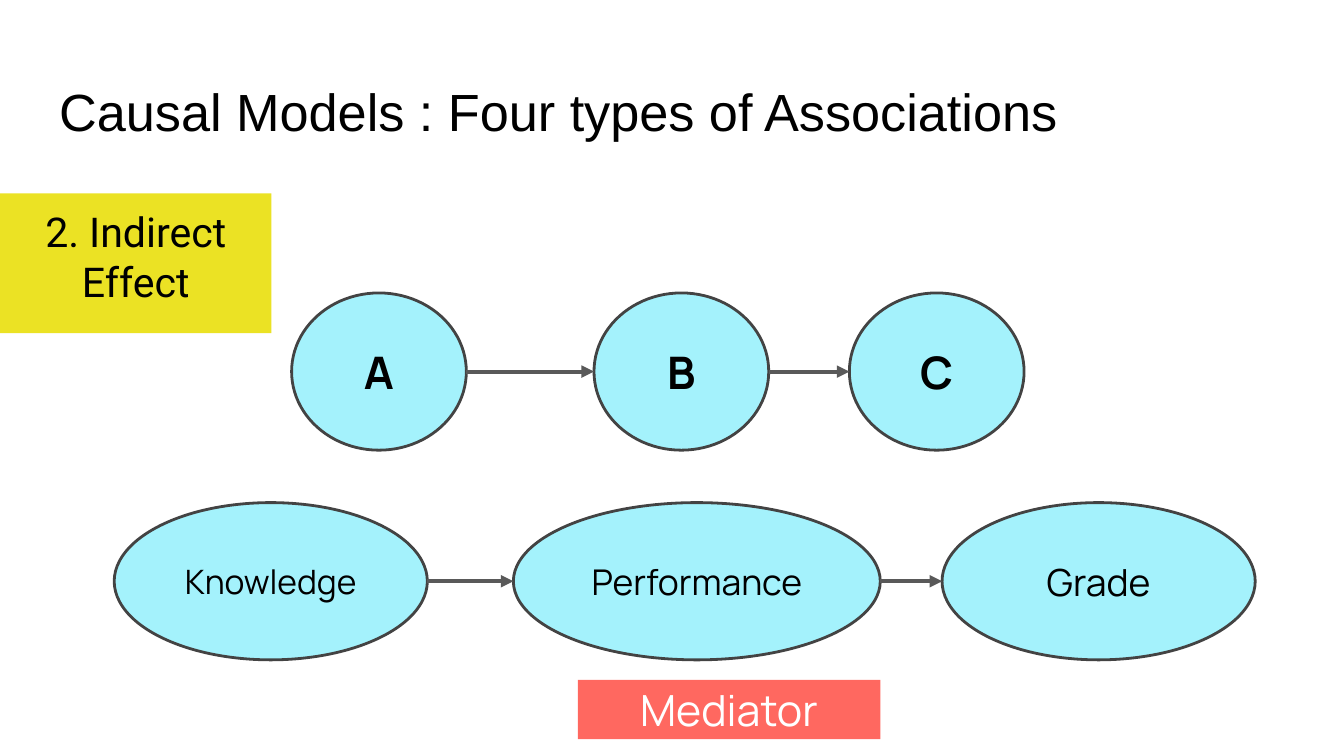
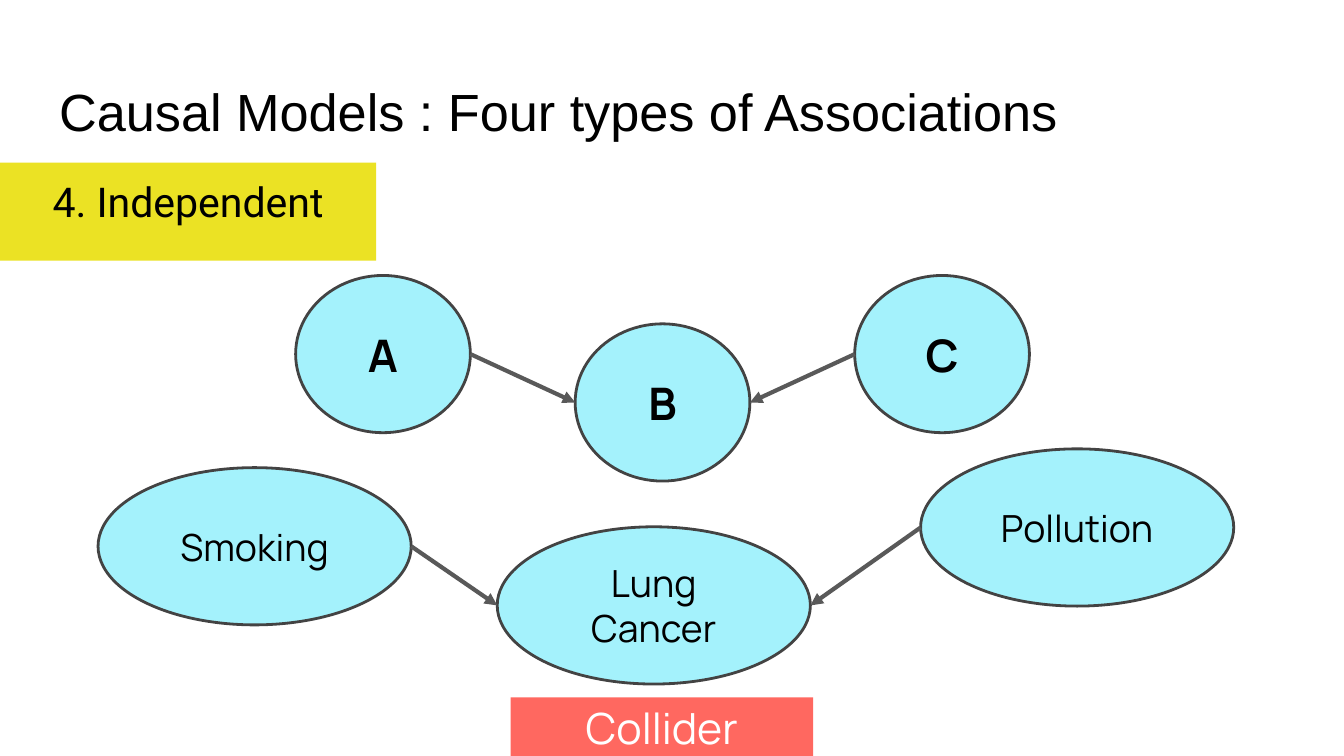
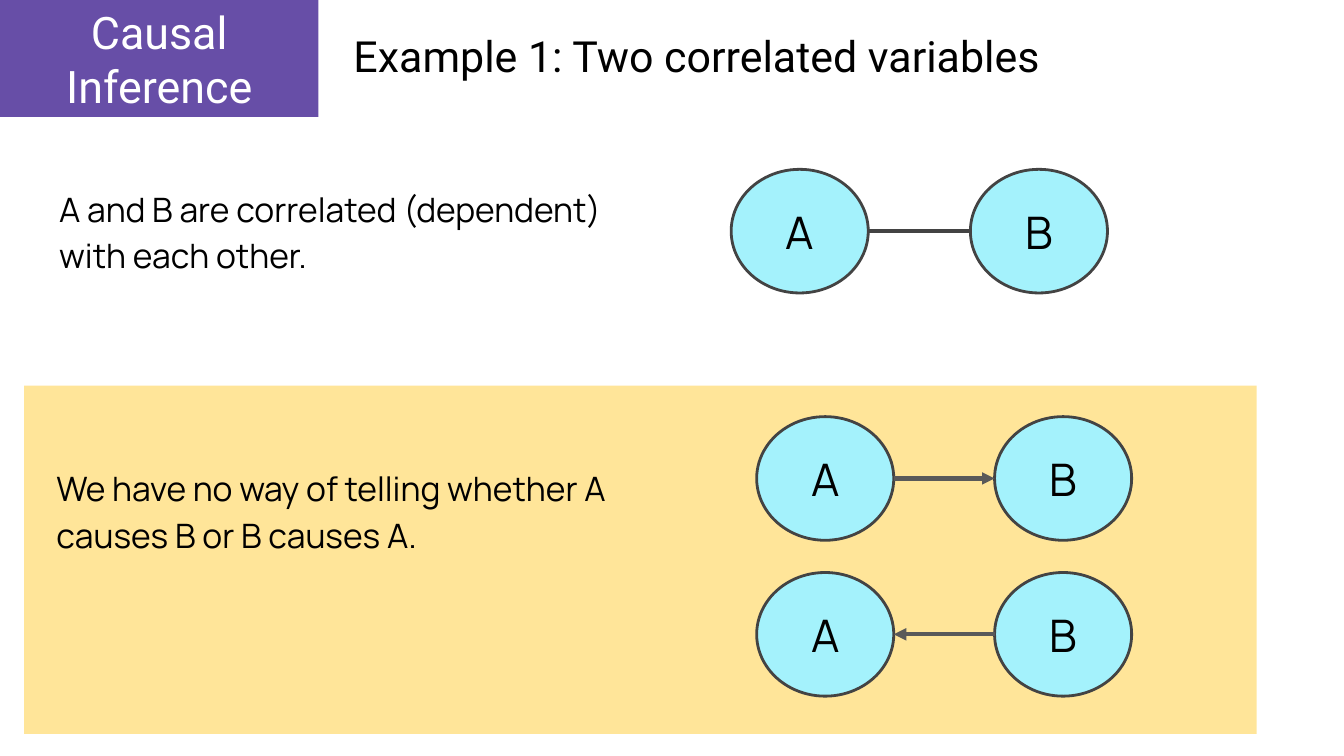
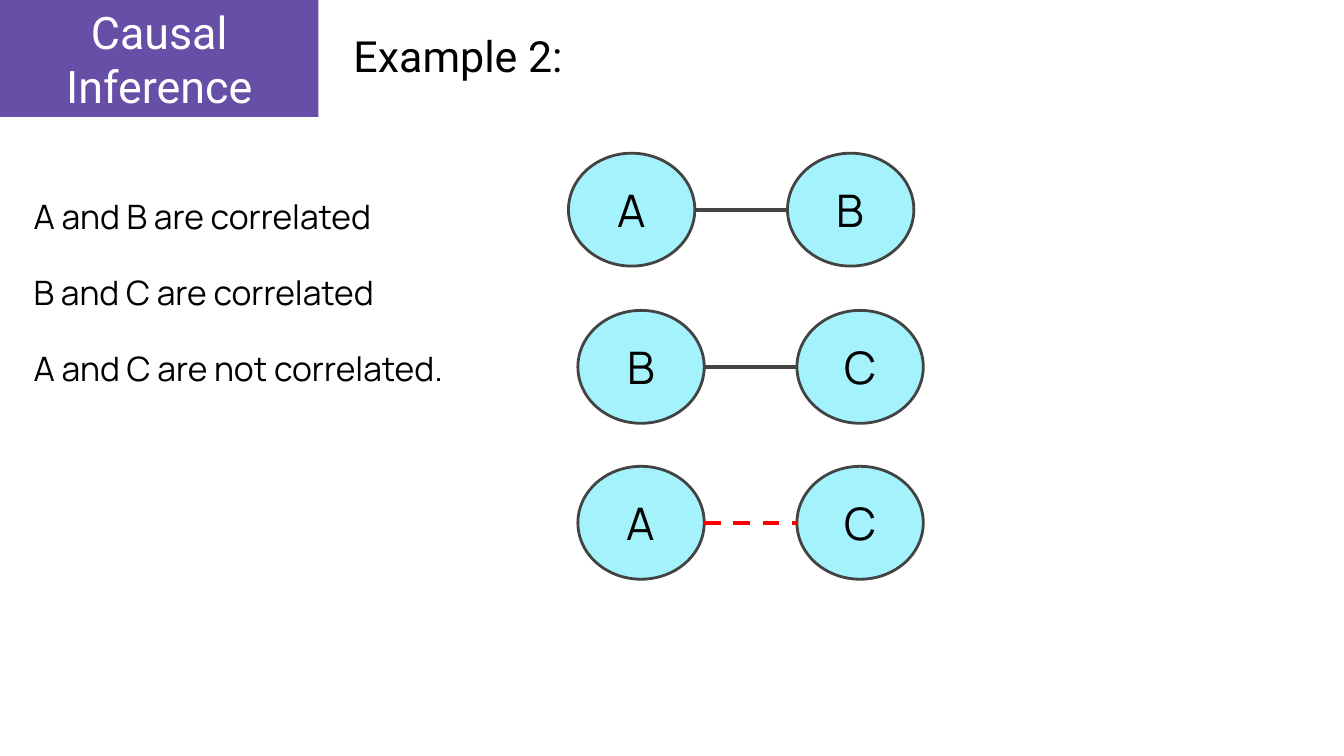
from lxml import etree
from pptx import Presentation
from pptx.dml.color import RGBColor
from pptx.enum.dml import MSO_LINE_DASH_STYLE as Dash
from pptx.enum.shapes import MSO_CONNECTOR as Conn, MSO_SHAPE as Geo
from pptx.enum.text import MSO_ANCHOR as Anchor, MSO_AUTO_SIZE as Auto, PP_ALIGN as Align
from pptx.oxml.ns import qn
from pptx.util import Inches, Pt

BLACK, WHITE, RED = "000000", "FFFFFF", "FF0000"
CYAN, DARK, GREY = "A4F2FC", "434343", "595959"
YELLOW, CORAL, PURPLE, SAND = "EBE224", "FF6860", "674EA7", "FFE599"
SANS, HEAD, TEXT = "Arial", "Roboto", "Manrope"
TITLE_ONLY, ONE_BODY, TWO_BODY = 5, 1, 3
DISC = 1.3, 1.17
OVAL = 2.33, 1.17


def rgb(code):
    return RGBColor.from_string(code)


def place(shape, box):
    shape.left, shape.top, shape.width, shape.height = map(Inches, box)


def setup(frame, anchor):
    frame.word_wrap = True
    frame.auto_size = Auto.NONE
    frame.vertical_anchor = anchor
    frame.margin_left = frame.margin_right = Inches(0.1)
    frame.margin_top = frame.margin_bottom = Inches(0.1)


def write(para, text, size, font=TEXT, color=BLACK, bold=False, align=Align.CENTER):
    para.alignment = align
    run = para.add_run()
    run.text = text
    run.font.size, run.font.name, run.font.bold = Pt(size), font, bold
    run.font.color.rgb = rgb(color)


def block(slide, geo, box, fill, edge=None):
    shape = slide.shapes.add_shape(geo, *map(Inches, box))
    shape.shadow.inherit = False
    shape.fill.solid()
    shape.fill.fore_color.rgb = rgb(fill)
    if edge:
        shape.line.color.rgb = rgb(edge)
        shape.line.width = Pt(1.5)
    else:
        shape.line.fill.background()
    return shape


def label(slide, box, fill, text, size, font, color, anchor=Anchor.MIDDLE):
    frame = block(slide, Geo.RECTANGLE, box, fill).text_frame
    setup(frame, anchor)
    write(frame.paragraphs[0], text, size, font, color)


def node(slide, box, text, size=24, bold=False):
    oval = block(slide, Geo.OVAL, box, CYAN, DARK)
    setup(oval.text_frame, Anchor.MIDDLE)
    write(oval.text_frame.paragraphs[0], text, size, bold=bold)
    return oval


def link(slide, start, end, color=GREY, arrow=True, dash=False):
    """Join the facing sides of two nodes."""
    right = start.left < end.left
    line = slide.shapes.add_connector(
        Conn.STRAIGHT,
        start.left + start.width * right, start.top + start.height // 2,
        end.left + end.width * (not right), end.top + end.height // 2)
    line.line.color.rgb = rgb(color)
    line.line.width = Pt(2.25)
    if dash:
        line.line.dash_style = Dash.DASH
    props = line.element.spPr
    if arrow:
        etree.SubElement(props.find(qn("a:ln")), qn("a:tailEnd"), type="triangle")
    etree.SubElement(props, qn("a:effectLst"))


def title(slide, box, text, size, font):
    head = slide.shapes.title
    place(head, box)
    setup(head.text_frame, Anchor.TOP)
    write(head.text_frame.paragraphs[0], text, size, font, align=Align.LEFT)


def body(slide, index, box, lines):
    hold = slide.placeholders[index]
    place(hold, box)
    frame = hold.text_frame
    setup(frame, Anchor.TOP)
    for i, text in enumerate(lines):
        para = frame.add_paragraph() if i else frame.paragraphs[0]
        props = para._p.get_or_add_pPr()
        props.set("marL", "0")
        props.set("indent", "0")
        etree.SubElement(props, qn("a:buNone"))
        para.line_spacing = 1.15
        para.space_before = Pt(16 if i else 0)
        write(para, text, 18, align=Align.LEFT)


def pair(slide, box, names, gap, flip=False, **style):
    """Draw two linked nodes; box is that of the left one."""
    x, y, w, h = box
    left = node(slide, box, names[0])
    right = node(slide, (x + w + gap, y, w, h), names[1])
    ends = (right, left) if flip else (left, right)
    link(slide, *ends, **style)


def model(prs, tag, tag_box, discs, ovals, links, role, role_box):
    """Add a slide with a lettered graph above its worded example."""
    slide = prs.slides.add_slide(prs.slide_layouts[TITLE_ONLY])
    title(slide, (0.34, 0.49, 9.32, 0.63),
          "Causal Models : Four types of Associations", 28, SANS)
    top = [node(slide, (*spot, *DISC), name, bold=True)
           for name, spot in zip("ABC", discs)]
    low = [node(slide, box, text, size) for text, size, box in ovals]
    for row in (top, low):
        for a, b in links:
            link(slide, row[a], row[b])
    label(slide, tag_box, YELLOW, tag, 22, HEAD, BLACK, Anchor.TOP)
    label(slide, role_box, CORAL, role, 23, TEXT, WHITE)


def sample(prs, layout, text):
    """Start an example slide with its purple band and title."""
    slide = prs.slides.add_slide(prs.slide_layouts[layout])
    title(slide, (2.53, 0.12, 6.69, 0.63), text, 23, HEAD)
    label(slide, (0, 0, 2.37, 0.87), PURPLE, "Causal Inference", 24, HEAD, WHITE)
    return slide


def first(prs):
    slide = sample(prs, TWO_BODY, "Example 1: Two correlated variables")
    panel = block(slide, Geo.RECTANGLE, (0.18, 2.87, 9.17, 2.59), SAND)
    slide.shapes.title.element.addprevious(panel.element)
    body(slide, 1, (0.34, 1.26, 4.43, 0.87),
         ["A and B are correlated (dependent) with each other."])
    body(slide, 2, (0.32, 3.34, 4.55, 1.62),
         ["We have no way of telling whether A causes B or B causes A."])
    size = 1.02, 0.92
    pair(slide, (5.44, 1.26, *size), "AB", 0.76, color=DARK, arrow=False)
    pair(slide, (5.63, 3.1, *size), "AB", 0.75)
    pair(slide, (5.63, 4.26, *size), "AB", 0.75, flip=True)


def second(prs):
    slide = sample(prs, ONE_BODY, "Example 2:")
    body(slide, 1, (0.15, 1.31, 3.68, 1.93),
         ["A and B are correlated", "B and C are correlated",
          "A and C are not correlated."])
    rows = [("AB", 4.23, 1.14, DARK, False), ("BC", 4.3, 2.31, DARK, False),
            ("AC", 4.3, 3.47, RED, True)]
    for names, x, y, color, dash in rows:
        pair(slide, (x, y, 0.94, 0.84), names, 0.69,
             color=color, arrow=False, dash=dash)


def main():
    prs = Presentation()
    prs.slide_width = Inches(10)
    prs.slide_height = prs.slide_width * 9 // 16
    model(prs, "2. Indirect Effect", (0, 1.44, 2.02, 1.04),
          [(2.17, 2.18), (4.42, 2.18), (6.32, 2.18)],
          [("Knowledge", 18, (0.85, 3.74, *OVAL)),
           ("Performance", 19, (3.82, 3.74, 2.73, 1.17)),
           ("Grade", 20, (7.01, 3.74, *OVAL))],
          [(0, 1), (1, 2)], "Mediator", (4.3, 5.06, 2.25, 0.44))
    model(prs, "4. Independent", (0, 1.21, 2.8, 0.73),
          [(2.2, 2.05), (4.28, 2.41), (6.36, 2.05)],
          [("Smoking", 20, (0.73, 3.48, *OVAL)),
           ("Lung Cancer", 20, (3.7, 3.92, *OVAL)),
           ("Pollution", 20, (6.85, 3.34, *OVAL))],
          [(0, 1), (2, 1)], "Collider", (3.8, 5.19, 2.25, 0.44))
    first(prs)
    second(prs)
    prs.save("out.pptx")


if __name__ == "__main__":
    main()
